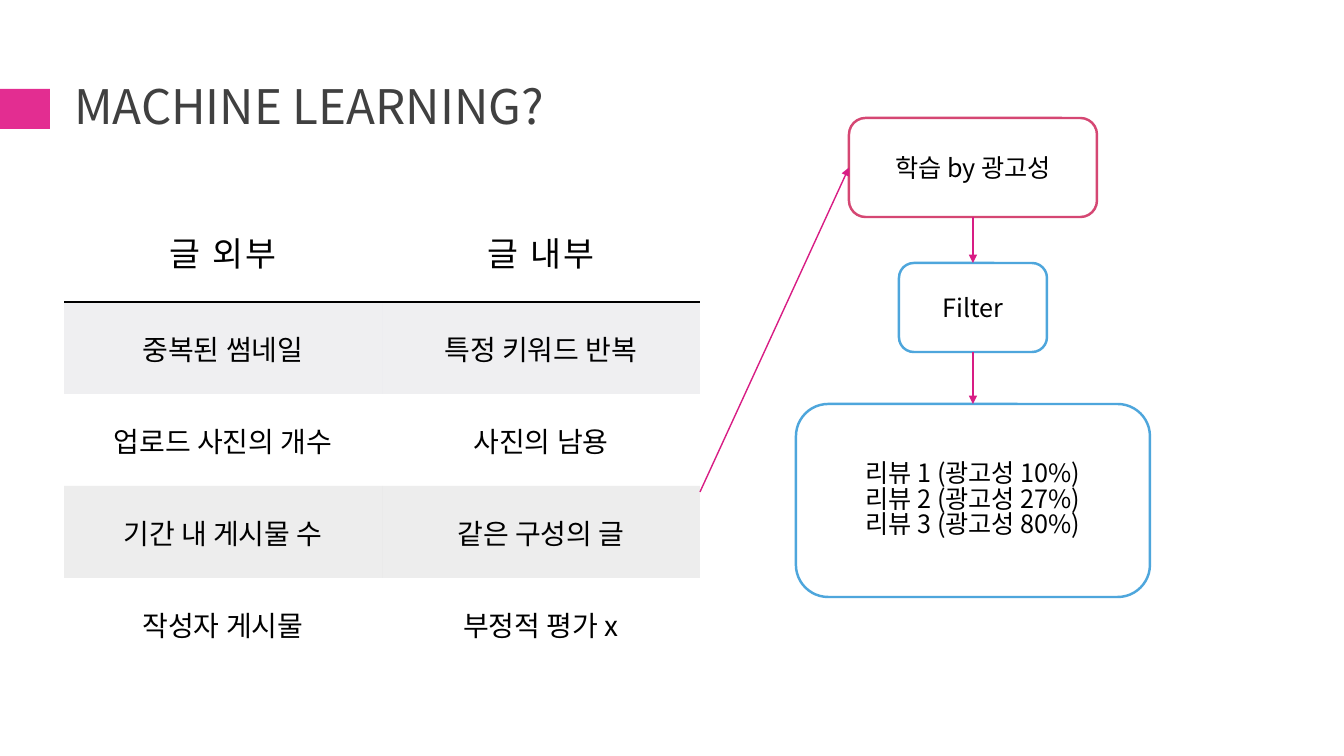
from lxml.etree import SubElement
from pptx import Presentation
from pptx.dml.color import RGBColor
from pptx.enum.shapes import MSO_CONNECTOR, MSO_SHAPE
from pptx.enum.text import MSO_ANCHOR, PP_ALIGN
from pptx.oxml import parse_xml
from pptx.oxml.ns import nsdecls, qn
from pptx.util import Emu, Pt

FONT = "Noto Sans CJK KR"
TITLE = "MACHINE LEARNING?"
ROWS = [
    ("글 외부", "글 내부"),
    ("중복된 썸네일", "특정 키워드 반복"),
    ("업로드 사진의 개수", "사진의 남용"),
    ("기간 내 게시물 수", "같은 구성의 글"),
    ("작성자 게시물", "부정적 평가 x"),
]
ROW_FILLS = [None, "B1B1BD", None, "A6A6A6", "FFFFFF"]
HEADER_HEIGHT, ROW_HEIGHT, COLUMN_WIDTH = 100, 92, 318
TABLE_LEFT, TABLE_TOP = 64, 202
FLOW_CENTER = 973
FLOW = [
    (118, 248, 99, "D54773", ["학습 by 광고성"]),
    (263, 148, 89, "4EA6DC", ["Filter"]),
    (404, 354, 193, "4EA6DC",
     ["리뷰 1 (광고성 10%)", "리뷰 2 (광고성 27%)", "리뷰 3 (광고성 80%)"]),
]
ARROW_START = (700, 492)
TOP, LEFT, BOTTOM = 0, 1, 2


def px(length):
    """Turn pixels into EMU."""
    return Emu(round(length * 914400 / 100.8))


def color(value):
    """Turn a hex string into a colour."""
    return RGBColor.from_string(value)


def write(frame, lines, size, ink="000000", align=PP_ALIGN.CENTER, spacing=None):
    """Fill a text frame with evenly formatted paragraphs."""
    frame.text = "\n".join(lines)
    for para in frame.paragraphs:
        para.alignment = align
        para.line_spacing = spacing
        for span in para.runs:
            span.font.size = Pt(size)
            span.font.name = FONT
            span.font.color.rgb = color(ink)
            SubElement(span.font._element, qn("a:ea"), typeface=FONT)


def add_box(page, kind, left, top, width, height, fill, line=None):
    """Add a flat shape with an optional outline."""
    box = page.shapes.add_shape(kind, px(left), px(top), px(width), px(height))
    box.shadow.inherit = False
    box.fill.solid()
    box.fill.fore_color.rgb = color(fill)
    if line:
        box.line.color.rgb = color(line)
        box.line.width = Pt(1.75)
    else:
        box.line.fill.background()
    return box


def add_arrow(page, target, side, source=None, start=(0, 0)):
    """Add an arrow to a box from another box or from a point."""
    x, y = map(px, start)
    arrow = page.shapes.add_connector(MSO_CONNECTOR.STRAIGHT, x, y, x, y)
    if source is not None:
        arrow.begin_connect(source, BOTTOM)
    arrow.end_connect(target, side)
    arrow.line.color.rgb = color("D81D84")
    arrow.line.width = Pt(1)
    SubElement(arrow.line._get_or_add_ln(), qn("a:tailEnd"), type="triangle")
    SubElement(arrow._element.spPr, qn("a:effectLst"))


def add_title(page):
    """Place the slide title and its marker."""
    add_box(page, MSO_SHAPE.RECTANGLE, 0, 89, 50, 40, "E32D91")
    title = page.shapes.title
    title.left, title.top, title.width, title.height = map(px, (64, 78, 1216, 82))
    title.text_frame.vertical_anchor = MSO_ANCHOR.TOP
    write(title.text_frame, [TITLE], 34, "404040", PP_ALIGN.LEFT, 0.9)


def add_features(page):
    """Add the table of features outside and inside a post."""
    heights = [HEADER_HEIGHT] + [ROW_HEIGHT] * (len(ROWS) - 1)
    columns = len(ROWS[0])
    frame = page.shapes.add_table(
        len(ROWS), columns, px(TABLE_LEFT), px(TABLE_TOP),
        px(COLUMN_WIDTH * columns), px(sum(heights)))
    table = frame.table
    style = table._tbl.tblPr.find(qn("a:tableStyleId"))
    style.text = "{2D5ABB26-0587-4C30-8999-92F81FD0307C}"
    table.horz_banding = False
    for index, (texts, height, fill) in enumerate(zip(ROWS, heights, ROW_FILLS)):
        table.rows[index].height = px(height)
        for column, text in enumerate(texts):
            cell = table.cell(index, column)
            cell.margin_left = cell.margin_right = px(25)
            cell.margin_top = cell.margin_bottom = px(25)
            cell.vertical_anchor = MSO_ANCHOR.MIDDLE
            write(cell.text_frame, [text], 20 if index else 24)
            if fill:
                cell.fill.solid()
                cell.fill.fore_color.rgb = color(fill)
                tint = cell._tc.tcPr.find(".//" + qn("a:srgbClr"))
                SubElement(tint, qn("a:alpha"), val="20000")
            else:
                cell.fill.background()
            if index == 0:
                cell.text_frame.paragraphs[0].runs[0].font._element.set("spc", "150")
                cell._tc.tcPr.insert(0, parse_xml(
                    f'<a:lnB {nsdecls("a")} w="12700"><a:solidFill>'
                    '<a:srgbClr val="000000"/></a:solidFill></a:lnB>'))


def add_flow(page):
    """Add the learning flow and its arrows."""
    boxes = []
    for top, width, height, line, lines in FLOW:
        box = add_box(page, MSO_SHAPE.ROUNDED_RECTANGLE, FLOW_CENTER - width / 2,
                      top, width, height, "FFFFFF", line)
        box.text_frame.word_wrap = True
        box.text_frame.vertical_anchor = MSO_ANCHOR.MIDDLE
        write(box.text_frame, lines, 18, spacing=0.84 if len(lines) > 1 else None)
        boxes.append(box)
    add_arrow(page, boxes[0], LEFT, start=ARROW_START)
    for source, target in zip(boxes, boxes[1:]):
        add_arrow(page, target, TOP, source)


def main():
    """Build and save the deck."""
    deck = Presentation()
    deck.slide_width, deck.slide_height = px(1344), px(756)
    page = deck.slides.add_slide(deck.slide_layouts[5])
    add_title(page)
    add_features(page)
    add_flow(page)
    deck.save("out.pptx")


if __name__ == "__main__":
    main()
